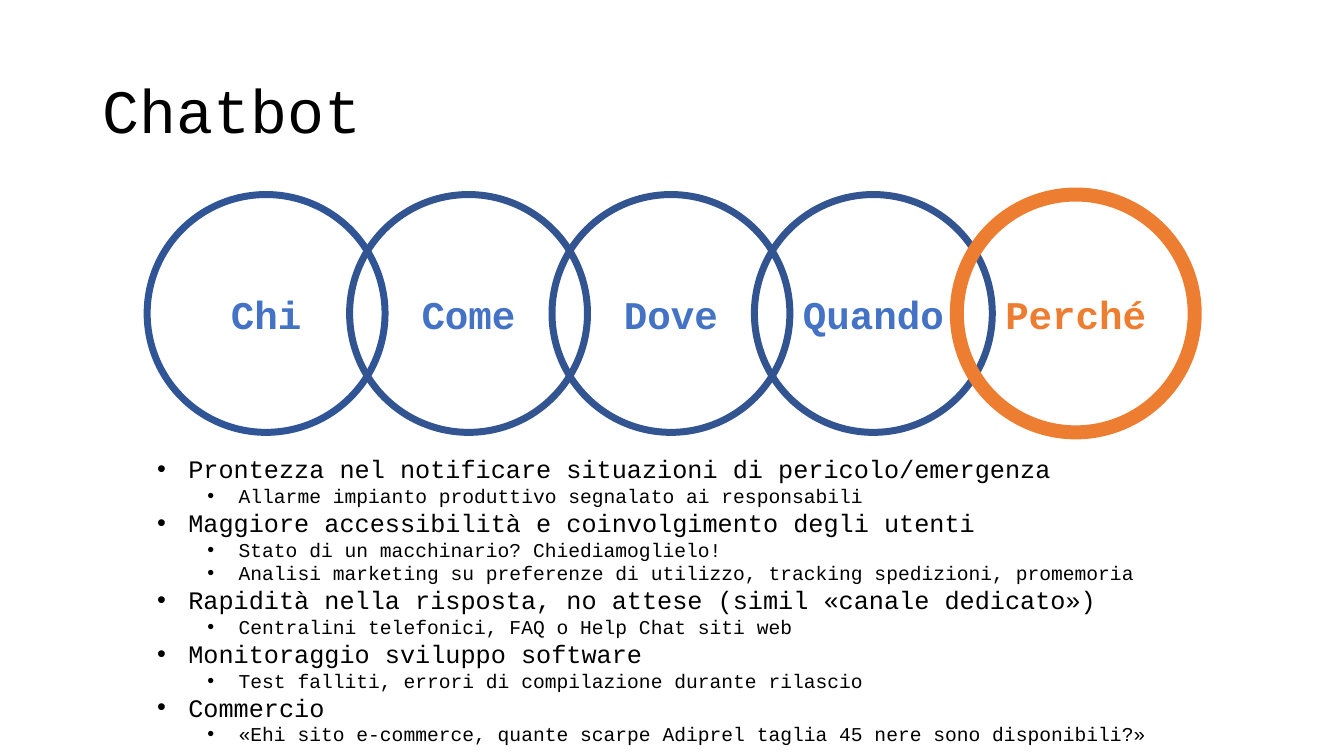
"""Build the Chatbot slide: five linked rings above a two-level list."""
import dataclasses

import lxml.etree
import pptx
import pptx.dml.color
import pptx.enum.shapes
import pptx.enum.text
import pptx.oxml.ns
import pptx.util

WIDE = pptx.util.Inches(13.33)
HIGH = pptx.util.Inches(7.5)
COL = WIDE / 100
ROW = HIGH / 100
FONT = "Courier New"
HUES = {"black": "000000", "navy": "325491", "deep": "2F5597", "blue": "4472C4", "orange": "ED7D31"}
LEFT, TOP, SIZE, STEP = 10.95, 25.73, 17.7, 15.06


@dataclasses.dataclass
class Ring:
    word: str
    line: str = "navy"
    ink: str = "blue"
    width: int = 5


@dataclasses.dataclass
class Point:
    text: str
    level: int = 0


RINGS = [
    Ring("Chi", line="deep"),
    Ring("Come"),
    Ring("Dove"),
    Ring("Quando"),
    Ring("Perché", line="orange", ink="orange", width=10),
]
POINTS = [
    Point("Prontezza nel notificare situazioni di pericolo/emergenza"),
    Point("Allarme impianto produttivo segnalato ai responsabili", 1),
    Point("Maggiore accessibilità e coinvolgimento degli utenti"),
    Point("Stato di un macchinario? Chiediamoglielo!", 1),
    Point("Analisi marketing su preferenze di utilizzo, tracking spedizioni, promemoria", 1),
    Point("Rapidità nella risposta, no attese (simil «canale dedicato»)"),
    Point("Centralini telefonici, FAQ o Help Chat siti web", 1),
    Point("Monitoraggio sviluppo software"),
    Point("Test falliti, errori di compilazione durante rilascio", 1),
    Point("Commercio"),
    Point("«Ehi sito e-commerce, quante scarpe Adiprel taglia 45 nere sono disponibili?»", 1),
]


def tint(name: str) -> pptx.dml.color.RGBColor:
    return pptx.dml.color.RGBColor.from_string(HUES[name])


def style(para, size: int, ink: str = "black", bold: bool = False) -> None:
    for run in para.runs:
        run.font.name = FONT
        run.font.size = pptx.util.Pt(size)
        run.font.bold = bold
        run.font.color.rgb = tint(ink)


def add_box(slide, left: float, top: float, width: float, height: float):
    box = slide.shapes.add_textbox(
        round(left * COL), round(top * ROW), round(width * COL), round(height * ROW))
    box.text_frame.word_wrap = True
    return box.text_frame


def add_title(slide, text: str) -> None:
    frame = add_box(slide, 6.9, 5.33, 86.25, 19.33)
    frame.vertical_anchor = pptx.enum.text.MSO_ANCHOR.MIDDLE
    frame.text = text
    para = frame.paragraphs[0]
    para.line_spacing = 0.9
    style(para, 44)


def add_ring(slide, spot: int, ring: Ring) -> None:
    side = round(SIZE * COL)
    shape = slide.shapes.add_shape(
        pptx.enum.shapes.MSO_SHAPE.OVAL,
        round((LEFT + spot * STEP) * COL), round(TOP * ROW), side, side)
    shape.shadow.inherit = False
    shape.fill.background()
    shape.line.color.rgb = tint(ring.line)
    shape.line.width = pptx.util.Pt(ring.width)
    frame = shape.text_frame
    frame.text = ring.word
    frame.vertical_anchor = pptx.enum.text.MSO_ANCHOR.MIDDLE
    para = frame.paragraphs[0]
    para.alignment = pptx.enum.text.PP_ALIGN.CENTER
    style(para, 28, ring.ink, True)


def add_dot(para, level: int) -> None:
    props = para._p.get_or_add_pPr()
    props.set("marL", str(pptx.util.Inches(0.31 + 0.5 * level)))
    props.set("indent", str(pptx.util.Inches(-0.31)))
    for tag, key, value in (("a:buFont", "typeface", "Arial"), ("a:buChar", "char", "•")):
        lxml.etree.SubElement(props, pptx.oxml.ns.qn(tag)).set(key, value)


def add_list(slide, points: list[Point]) -> None:
    frame = add_box(slide, LEFT, 59.33, 77.4, 40.4)
    frame.auto_size = pptx.enum.text.MSO_AUTO_SIZE.SHAPE_TO_FIT_TEXT
    frame.text = "\n".join(point.text for point in points)
    for para, point in zip(frame.paragraphs, points):
        para.level = point.level
        add_dot(para, point.level)
        style(para, 14 if point.level else 18)


def main() -> None:
    deck = pptx.Presentation()
    deck.slide_width, deck.slide_height = WIDE, HIGH
    slide = deck.slides.add_slide(deck.slide_layouts[6])
    add_title(slide, "Chatbot")
    for spot, ring in enumerate(RINGS):
        add_ring(slide, spot, ring)
    add_list(slide, POINTS)
    deck.save("out.pptx")


if __name__ == "__main__":
    main()
